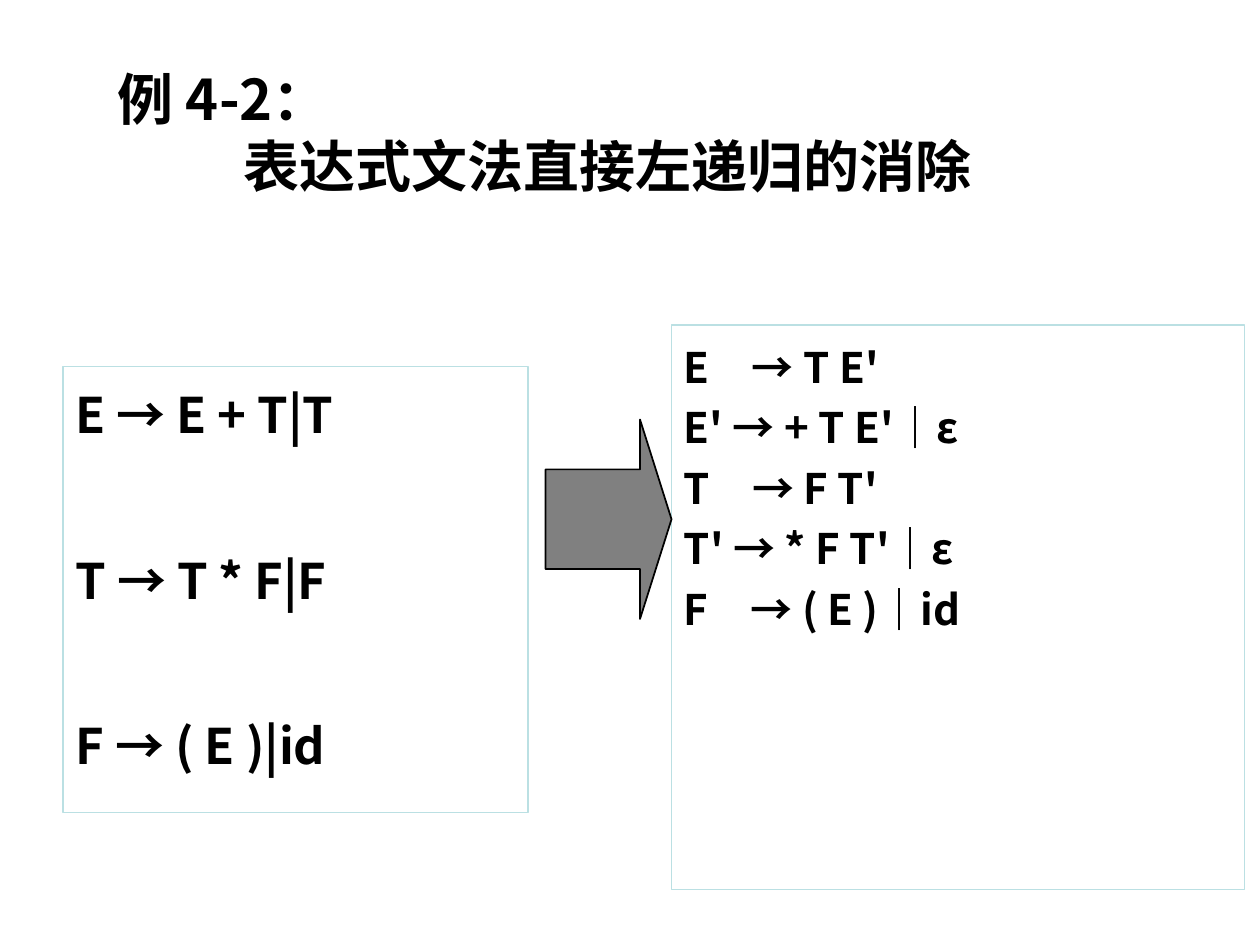
from lxml.etree import SubElement
from pptx import Presentation
from pptx.dml.color import RGBColor
from pptx.enum.shapes import MSO_SHAPE
from pptx.enum.text import MSO_ANCHOR, MSO_AUTO_SIZE, PP_ALIGN
from pptx.oxml.ns import qn
from pptx.util import Inches, Pt

# Content
TITLE = "例 4-2：\v\t表达式文法直接左递归的消除"
LEFT_RECURSIVE = ["E → E + T|T", "T → T * F|F", "F → ( E )|id"]
RECURSION_REMOVED = ["E　→ T E'", "E' → + T E'｜ε", "T　→ F T'", "T' → * F T'｜ε", "F　→ ( E )｜id"]

# Look
COLORS = {"paper": "FFFFFF", "ink": "000000", "border": "BBE0E3", "arrow": "808080"}
FONT = "Noto Sans CJK SC"
TAB_INCHES = range(1, 8)

# Layout as shares of the slide: left, top, width, height
WIDTH, HEIGHT = 10, 7.5
TITLE_AREA = (0.083, 0.056, 0.917, 0.167)
ARROW_AREA = (0.433, 0.444, 0.1, 0.211)
GRAMMARS = [
    {"rules": LEFT_RECURSIVE, "area": (0.05, 0.388, 0.369, 0.472),
     "size": 28, "gap": 54.3, "hanging": 0.38},
    {"rules": RECURSION_REMOVED, "area": (0.533, 0.344, 0.455, 0.597),
     "size": 24, "gap": 0, "hanging": 0},
]


def color(name):
    return RGBColor.from_string(COLORS[name])


def place(area):
    return [Inches(share * side) for share, side in zip(area, (WIDTH, HEIGHT) * 2)]


def paint(shape, fill, line=None, width=0.75):
    shape.fill.solid()
    shape.fill.fore_color.rgb = color(fill)
    if line:
        shape.line.color.rgb = color(line)
        shape.line.width = Pt(width)


def write(frame, paragraphs, size, gap=0, hanging=0, spacing=1.0):
    frame_format = {"word_wrap": True, "auto_size": MSO_AUTO_SIZE.NONE}
    for name, value in frame_format.items():
        setattr(frame, name, value)
    frame.text = "\n".join(paragraphs)
    for number, paragraph in enumerate(frame.paragraphs):
        properties = paragraph._p.get_or_add_pPr()
        if hanging:
            properties.set("marL", str(Inches(hanging)))
            properties.set("indent", str(-Inches(hanging)))
        tabs = SubElement(properties, qn("a:tabLst"))
        for stop in TAB_INCHES:
            SubElement(tabs, qn("a:tab"), pos=str(Inches(stop)), algn="l")
        paragraph_format = {"alignment": PP_ALIGN.LEFT, "line_spacing": spacing,
                            "space_before": Pt(gap if number else 0)}
        for name, value in paragraph_format.items():
            setattr(paragraph, name, value)
        for run in paragraph.runs:
            for name, value in {"size": Pt(size), "bold": True, "name": FONT}.items():
                setattr(run.font, name, value)
            run.font.color.rgb = color("ink")
            SubElement(run._r.get_or_add_rPr(), qn("a:ea"), typeface=FONT)


presentation = Presentation()
presentation.slide_width, presentation.slide_height = Inches(WIDTH), Inches(HEIGHT)
slide = presentation.slides.add_slide(presentation.slide_layouts[5])

# Title
title = slide.shapes.title
title.left, title.top, title.width, title.height = place(TITLE_AREA)
paint(title, "paper")
write(title.text_frame, [TITLE], 32)
title.text_frame.vertical_anchor = MSO_ANCHOR.MIDDLE

# Grammar before and after
for grammar in GRAMMARS:
    box = slide.shapes.add_textbox(*place(grammar["area"]))
    paint(box, "paper", "border")
    write(box.text_frame, grammar["rules"], grammar["size"], grammar["gap"],
          grammar["hanging"], spacing=1.2)

# Arrow between the grammars
arrow = slide.shapes.add_shape(MSO_SHAPE.RIGHT_ARROW, *place(ARROW_AREA))
arrow.adjustments[0], arrow.adjustments[1] = 0.5, 0.25
arrow.shadow.inherit = False
paint(arrow, "arrow", "ink", 1)

presentation.save("out.pptx")
